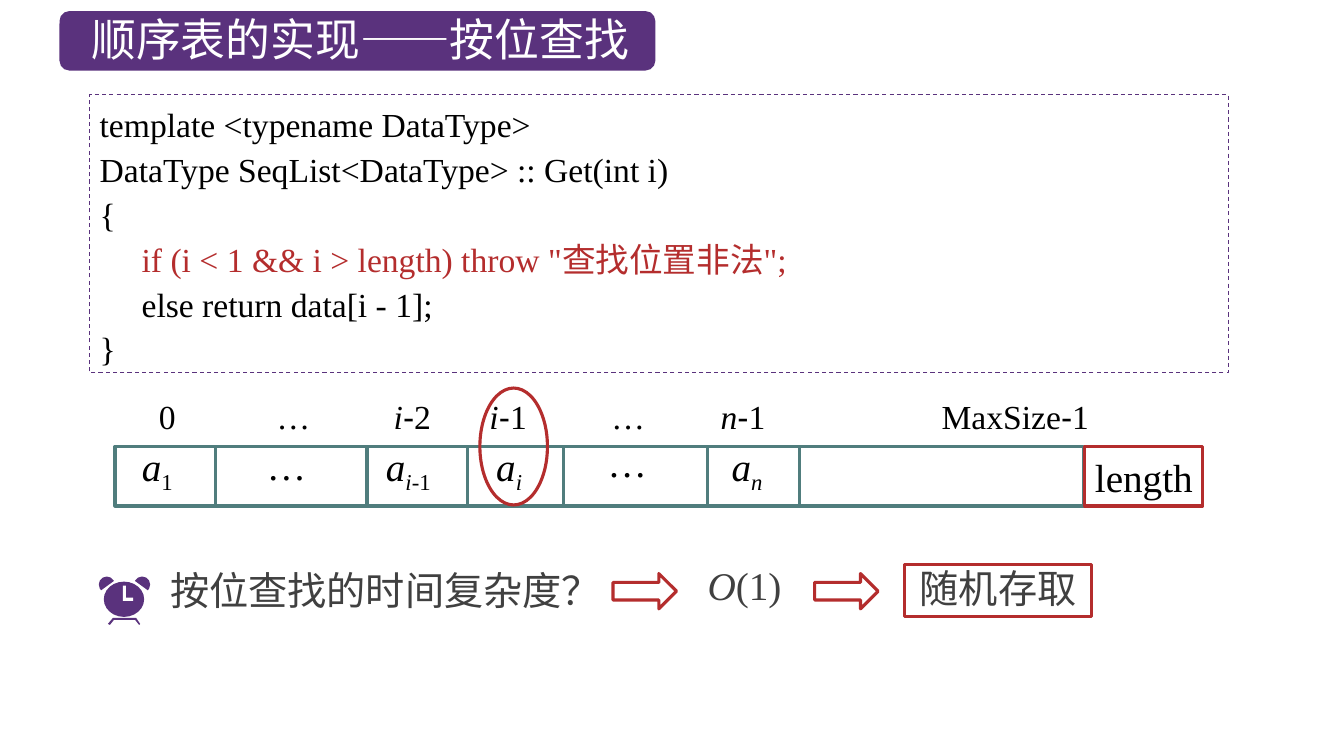
from lxml.etree import SubElement
from pptx import Presentation
from pptx.dml.color import RGBColor
from pptx.enum.dml import MSO_LINE
from pptx.enum.shapes import MSO_CONNECTOR, MSO_SHAPE
from pptx.enum.text import MSO_ANCHOR, PP_ALIGN
from pptx.oxml.ns import qn
from pptx.util import Pt

PX = 9144  # 100 px to the inch
PURPLE = RGBColor(0x5A, 0x32, 0x7D)
TEAL = RGBColor(0x50, 0x7D, 0x7D)
RED = RGBColor(0xB4, 0x2D, 0x2D)
GRAY = RGBColor(0x40, 0x40, 0x40)
BLACK = RGBColor(0, 0, 0)
WHITE = RGBColor(0xFF, 0xFF, 0xFF)
SERIF, SANS = "Times New Roman", "Noto Sans CJK SC"

deck = Presentation()
deck.slide_width, deck.slide_height = 1333 * PX, 750 * PX
slide = deck.slides.add_slide(deck.slide_layouts[5])
shapes = slide.shapes


def draw(kind, box, fill=None, line=None, width=2.25):
    """Add a preset shape, or a text box when kind is None."""
    place = [n * PX for n in box]
    if kind is None:
        return shapes.add_textbox(*place)
    shape = shapes.add_shape(kind, *place)
    shape.shadow.inherit = False
    if fill is None:
        shape.fill.background()
    else:
        shape.fill.solid()
        shape.fill.fore_color.rgb = fill
    if line is None:
        shape.line.fill.background()
    else:
        shape.line.color.rgb = line
        shape.line.width = Pt(width)
    return shape


def write(shape, lines, size, color, font=SERIF, align=PP_ALIGN.CENTER, gap=None, pad=(10, 5)):
    """Fill a shape with lines of (text, marks) runs: i italic, s subscript, h Arial, r red."""
    frame = shape.text_frame
    frame.word_wrap = True
    frame.vertical_anchor = MSO_ANCHOR.TOP
    frame.margin_left = frame.margin_right = pad[0] * PX
    frame.margin_top, frame.margin_bottom = pad[1] * PX, 5 * PX
    for n, line in enumerate(lines):
        para = frame.add_paragraph() if n else frame.paragraphs[0]
        para.alignment = align
        if gap:
            para.line_spacing = Pt(gap)
        for text, marks in line:
            run = para.add_run()
            run.text = text
            run.font.size = Pt(size)
            run.font.name = "Arial" if "h" in marks else font
            run.font.color.rgb = RED if "r" in marks else color
            run.font.italic = "i" in marks
            props = run._r.get_or_add_rPr()
            if "s" in marks:
                props.set("baseline", "-25000")
            if max(text) >= "一":
                SubElement(props, qn("a:ea")).set("typeface", SANS)


# Title
badge = draw(MSO_SHAPE.ROUNDED_RECTANGLE, (59, 11, 591, 59), PURPLE)
title = shapes.title
title.element.addprevious(badge.element)
title.left, title.top, title.width, title.height = 73 * PX, 7 * PX, 569 * PX, 64 * PX
write(title, [[("顺序表的实现——按位查找", "")]], 32, WHITE, SANS)

# Code
code = draw(MSO_SHAPE.RECTANGLE, (89, 94, 1129, 276), line=PURPLE, width=0.75)
code.line.dash_style = MSO_LINE.DASH
write(code, [
    [("template <typename DataType>", "")],
    [("DataType SeqList<DataType> :: Get(int i)", "")],
    [("{", "")],
    [('     if (i < 1 && i > length) throw "查找位置非法";', "r")],
    [("     else return data[i - 1];", "")],
    [("}", "")],
], 24, BLACK, align=PP_ALIGN.LEFT, gap=32)

# Array with its indices
TOP, TALL = 443, 59
draw(MSO_SHAPE.RECTANGLE, (114, TOP, 961, TALL), line=TEAL)
for x in (214, 364, 464, 559, 702, 793):
    wall = shapes.add_connector(MSO_CONNECTOR.STRAIGHT, x * PX, TOP * PX, x * PX, (TOP + TALL) * PX)
    wall.line.color.rgb = TEAL
    wall.line.width = Pt(2.25)
    SubElement(wall.element.spPr, qn("a:effectLst"))

dash, one = ("-", "h"), ("1", "")
for mid, runs in (
    (166, [("0", "")]),
    (291, [("…", "")]),
    (409, [("i", "i"), dash, ("2", "")]),
    (504, [("i", "i"), dash, one]),
    (623, [("…", "")]),
    (737, [("n", "i"), dash, one]),
    (1007, [("MaxSize", ""), dash, one]),
):
    write(draw(None, (mid - 90, 388, 180, 50)), [runs], 24, BLACK)

for mid, top, runs in (
    (156, 445, [("a", "i"), ("1", "s")]),
    (284, 438, [("…", "")]),
    (405, 445, [("a", "i"), ("i", "is"), ("-1", "s")]),
    (505, 445, [("a", "i"), ("i", "is")]),
    (622, 435, [("…", "")]),
    (741, 445, [("a", "i"), ("n", "is")]),
):
    write(draw(None, (mid - 40, top, 80, 46)), [runs], 28, BLACK, gap=30, pad=(0, 5))

size = draw(MSO_SHAPE.RECTANGLE, (1076, TOP, 117, TALL), line=RED)
write(size, [[("length", "")]], 28, BLACK, gap=30, pad=(0, 12))
draw(MSO_SHAPE.OVAL, (476, 385, 67, 116), line=RED)

# Alarm clock
for x, start, end in ((98, 135, 333), (133, 207, 45)):
    bell = draw(MSO_SHAPE.CHORD, (x, 572, 16, 16), PURPLE)
    bell.adjustments[0], bell.adjustments[1] = start * 0.6, end * 0.6
draw(MSO_SHAPE.OVAL, (103, 577, 40, 35), PURPLE)
hands = [(122, 581), (125, 581), (125, 593), (132, 593), (132, 596), (122, 596)]
legs = [(112, 613), (135, 613), (139, 619), (138, 620), (134, 615), (113, 615), (109, 620), (107, 619)]
for points, color in ((hands, WHITE), (legs, PURPLE)):
    pen = shapes.build_freeform(*points[0], scale=PX)
    pen.add_line_segments(points[1:])
    part = pen.convert_to_shape()
    part.shadow.inherit = False
    part.fill.solid()
    part.fill.fore_color.rgb = color
    part.line.fill.background()

# Question and answer
ask = draw(None, (159, 565, 472, 49))
write(ask, [[("按位查找的时间复杂度？", "")]], 28, GRAY, SANS, PP_ALIGN.LEFT, 28)
for x in (608, 808):
    draw(MSO_SHAPE.RIGHT_ARROW, (x, 569, 63, 35), line=RED)
cost = draw(None, (692, 560, 95, 49))
write(cost, [[("O", "i"), ("(1)", "")]], 28, GRAY, align=PP_ALIGN.LEFT, gap=28)
access = draw(MSO_SHAPE.RECTANGLE, (897, 560, 186, 52), line=RED)
write(access, [[("随机存取", "")]], 28, GRAY, SANS, gap=30)

deck.save("out.pptx")
